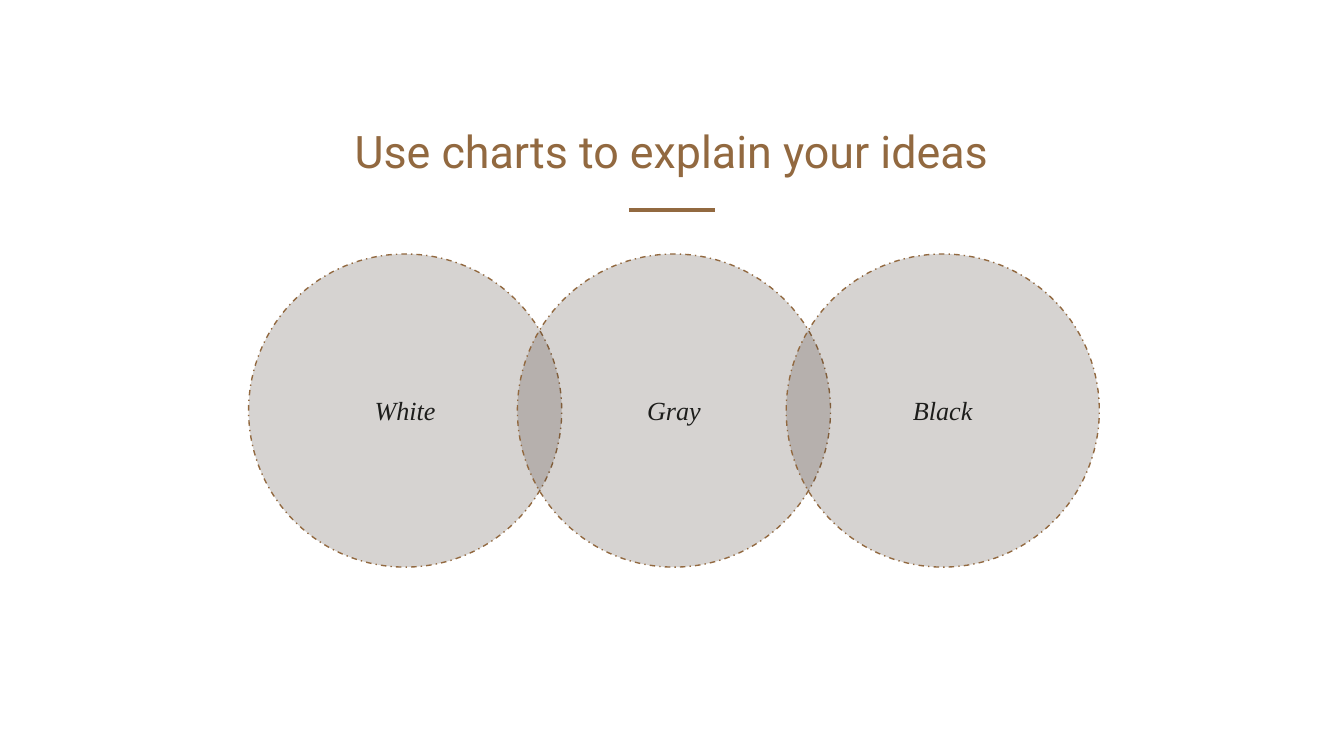
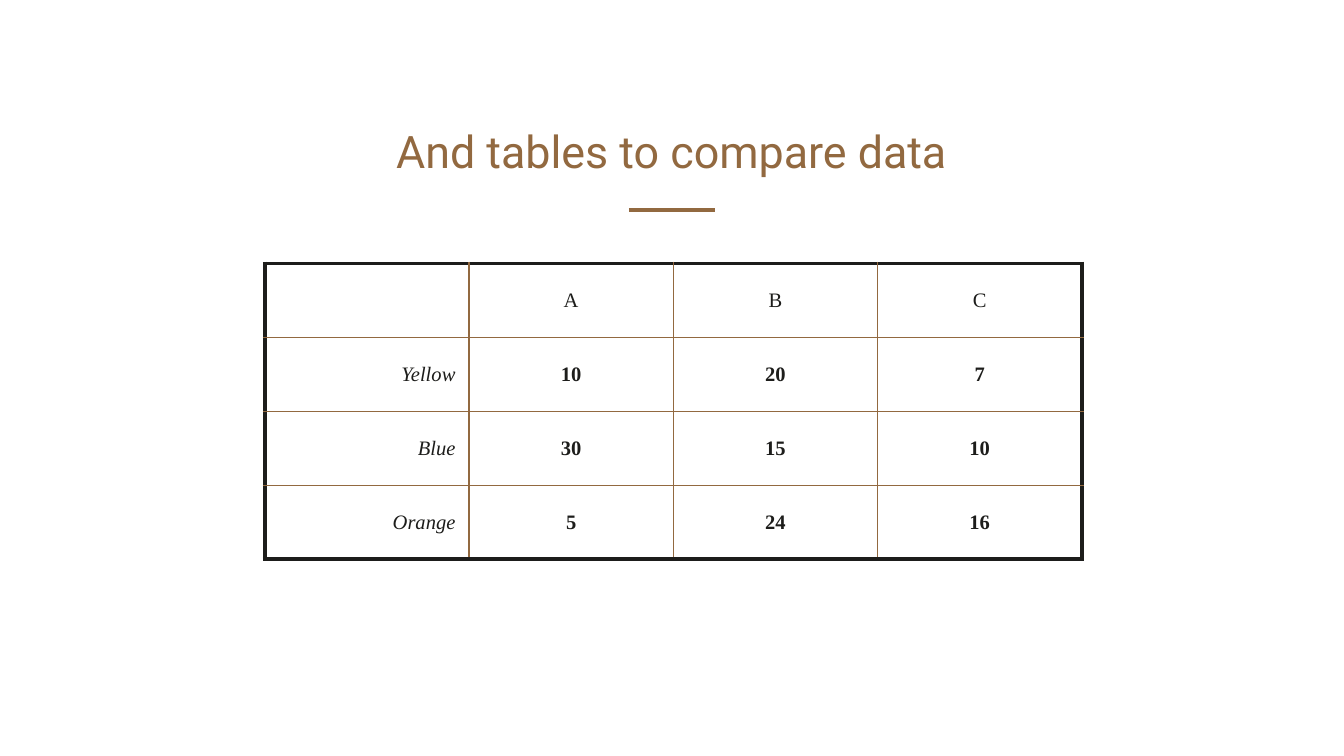
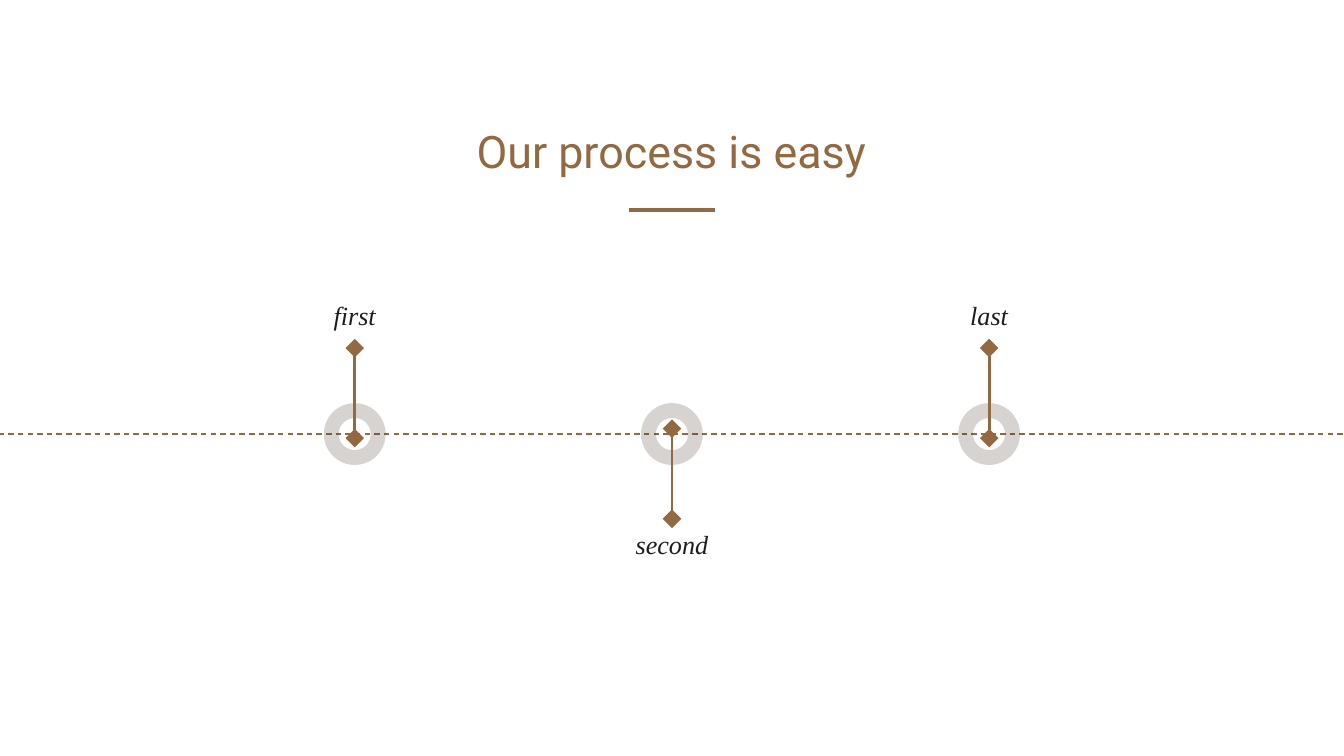
from lxml.etree import SubElement
from pptx import Presentation
from pptx.dml.color import RGBColor
from pptx.enum.dml import MSO_LINE_DASH_STYLE as Dash
from pptx.enum.shapes import MSO_CONNECTOR as Connector, MSO_SHAPE as Shape
from pptx.enum.text import MSO_ANCHOR as Anchor, MSO_AUTO_SIZE as AutoSize, PP_ALIGN as Align
from pptx.oxml.ns import qn
from pptx.util import Inches, Pt

COLORS = {"accent": "926940", "ink": "1D1D1B", "tint": "403228"}
TITLE_FONT = "Roboto"
BODY_FONT = "Times New Roman"
CENTER_X = 5
TINT_ALPHA = 21


def rgb(name):
    return RGBColor.from_string(COLORS[name])


def box(x, y, w, h):
    return [Inches(v) for v in (x, y, w, h)]


def write(tf, text, size=14, font=BODY_FONT, color="ink", bold=False, italic=False,
          align=Align.CENTER, anchor=Anchor.TOP):
    tf.word_wrap = True
    tf.vertical_anchor = anchor
    p = tf.paragraphs[0]
    p.alignment = align
    r = p.add_run()
    r.text = text
    f = r.font
    f.name, f.size, f.bold, f.italic = font, Pt(size), bold, italic
    f.color.rgb = rgb(color)


def set_insets(tf):
    tf.auto_size = AutoSize.NONE
    tf.margin_left = tf.margin_right = tf.margin_top = tf.margin_bottom = Inches(0.1)


def style_line(line, width, dash=None):
    line.color.rgb = rgb("accent")
    line.width = Pt(width)
    if dash:
        line.dash_style = dash


def add_line(s, x1, y1, x2, y2, width, dash=None, ends=None):
    c = s.shapes.add_connector(Connector.STRAIGHT, *box(x1, y1, x2, y2))
    style_line(c.line, width, dash)
    if ends:
        ln = c.line._get_or_add_ln()
        for tag in ("a:headEnd", "a:tailEnd"):
            SubElement(ln, qn(tag), type=ends, w="lg", len="lg")
    SubElement(c._element.spPr, qn("a:effectLst"))


def add_tinted(s, kind, x, y, size):
    """Square-framed shape in the translucent tint, without outline."""
    sp = s.shapes.add_shape(kind, *box(x, y, size, size))
    sp.shadow.inherit = False
    sp.fill.solid()
    sp.fill.fore_color.rgb = rgb("tint")
    color = sp._element.spPr.find(qn("a:solidFill"))[0]
    SubElement(color, qn("a:alpha"), val=str(TINT_ALPHA * 1000))
    sp.line.fill.background()
    return sp


def add_label(s, text, x, y, w, h):
    tf = s.shapes.add_textbox(*box(x, y, w, h)).text_frame
    set_insets(tf)
    write(tf, text, italic=True)


def add_slide(prs, title):
    s = prs.slides.add_slide(prs.slide_layouts[5])
    add_line(s, CENTER_X - 0.32, 1.56, CENTER_X + 0.32, 1.56, 2.25)
    sp = s.shapes.title
    sp.left, sp.top, sp.width, sp.height = box(2.06, 0.48, 5.87, 0.94)
    set_insets(sp.text_frame)
    write(sp.text_frame, title, size=24, font=TITLE_FONT, color="accent", anchor=Anchor.BOTTOM)
    return s


def add_circles(s, labels):
    for i, label in enumerate(labels):
        sp = add_tinted(s, Shape.OVAL, 1.85 + 2 * i, 1.89, 2.33)
        style_line(sp.line, 0.75, Dash.DASH_DOT)
        set_insets(sp.text_frame)
        write(sp.text_frame, label, italic=True, anchor=Anchor.MIDDLE)


def set_borders(cell, outer_sides):
    """Heavy ink on the table's outer sides, thin accent elsewhere."""
    tcPr = cell._tc.get_or_add_tcPr()
    for side in "LRTB":
        color, width = ("ink", 2.25) if side in outer_sides else ("accent", 0.75)
        ln = SubElement(tcPr, qn(f"a:ln{side}"), w=str(Pt(width)))
        fill = SubElement(ln, qn("a:solidFill"))
        SubElement(fill, qn("a:srgbClr"), val=COLORS[color])


def add_data_table(s, rows):
    n_rows, n_cols = len(rows), len(rows[0])
    frame = box(1.97, 1.96, 1.52 * n_cols, 0.55 * n_rows)
    table = s.shapes.add_table(n_rows, n_cols, *frame).table
    table.first_row = table.horz_banding = False
    for i, row in enumerate(rows):
        for j, text in enumerate(row):
            cell = table.cell(i, j)
            edges = {"L": j == 0, "R": j == n_cols - 1, "T": i == 0, "B": i == n_rows - 1}
            set_borders(cell, [side for side, outer in edges.items() if outer])
            cell.fill.background()
            cell.margin_left = cell.margin_right = Inches(0.1)
            cell.margin_top = cell.margin_bottom = Inches(0.07)
            cell.vertical_anchor = Anchor.MIDDLE
            if text:
                write(cell.text_frame, text, size=11, bold=i > 0 and j > 0, italic=j == 0,
                      align=Align.CENTER if j else Align.RIGHT, anchor=Anchor.MIDDLE)


def add_timeline(s, steps):
    """Rings on a dashed axis, with labels alternately above and below."""
    axis_y, ring, gap = 3.23, 0.46, 2.36
    label_w, label_h = 1.36, 0.45
    add_line(s, -0.01, axis_y, 10.01, axis_y, 0.75, Dash.DASH)
    for i, step in enumerate(steps):
        x = CENTER_X + (i - (len(steps) - 1) / 2) * gap
        donut = add_tinted(s, Shape.DONUT, x - ring / 2, axis_y - ring / 2, ring)
        donut.adjustments[0] = 0.24
        start, end, label_y = (3.19, 3.86, 3.83) if i % 2 else (3.26, 2.59, 2.13)
        add_line(s, x, start, x, end, 1.5, ends="diamond")
        add_label(s, step, x - label_w / 2, label_y, label_w, label_h)


def main():
    prs = Presentation()
    prs.slide_width, prs.slide_height = Inches(10), Inches(5.625)

    add_circles(add_slide(prs, "Use charts to explain your ideas"), ["White", "Gray", "Black"])
    add_data_table(add_slide(prs, "And tables to compare data"), [
        ["", "A", "B", "C"],
        ["Yellow", "10", "20", "7"],
        ["Blue", "30", "15", "10"],
        ["Orange", "5", "24", "16"],
    ])
    add_timeline(add_slide(prs, "Our process is easy"), ["first", "second", "last"])

    prs.save("out.pptx")


if __name__ == "__main__":
    main()
